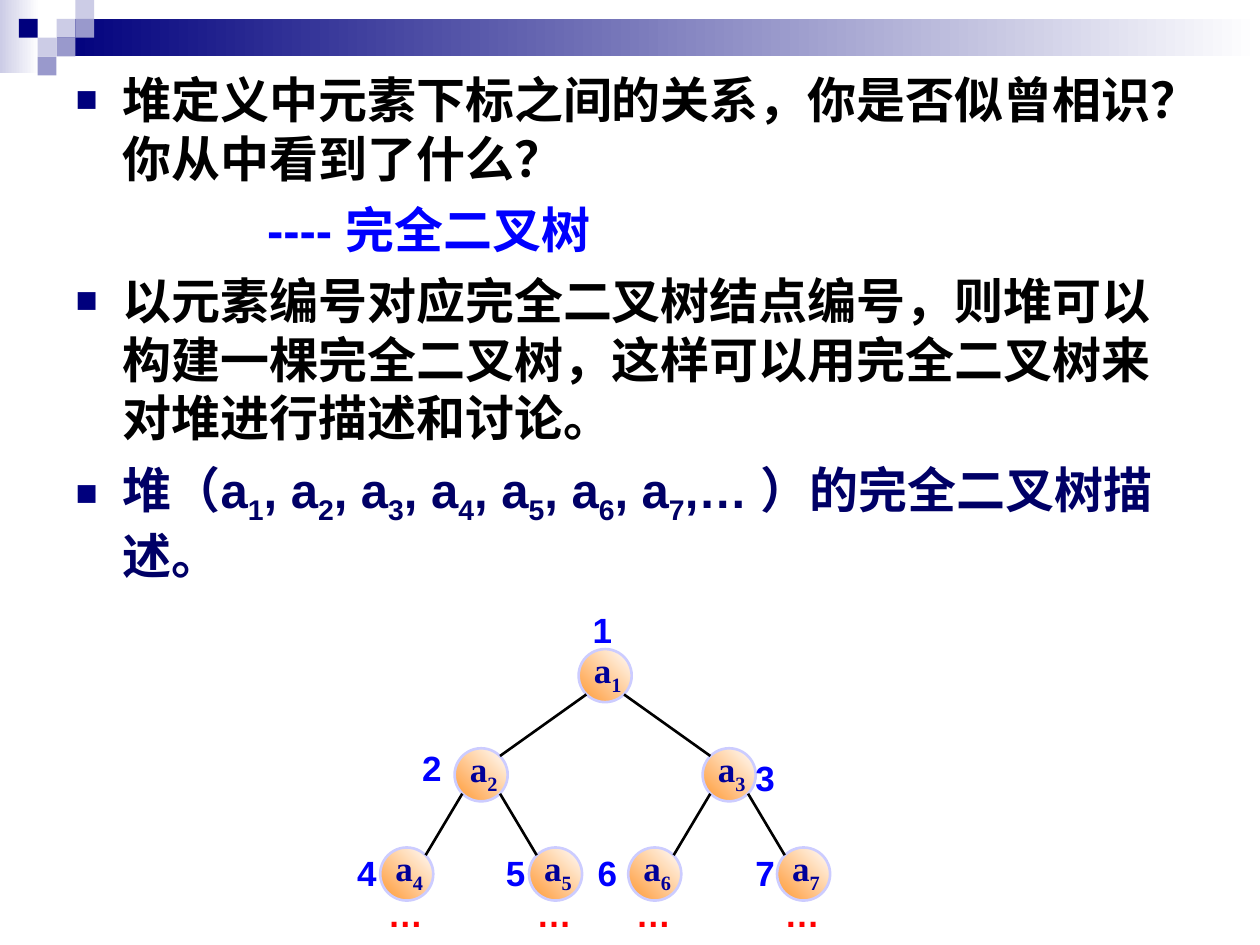
from lxml.etree import SubElement
from pptx import Presentation
from pptx.dml.color import RGBColor
from pptx.enum.shapes import MSO_CONNECTOR, MSO_SHAPE
from pptx.enum.text import MSO_ANCHOR, MSO_AUTO_SIZE, PP_ALIGN
from pptx.oxml.ns import qn
from pptx.util import Cm, Pt

COLORS = {
    "navy": "00007D", "lavender": "CCCCE6", "periwinkle": "9999CC",
    "white": "FFFFFF", "black": "000000", "blue": "0000FF",
    "heap": "000066", "node_text": "000099", "node_fill": "FF9933",
    "node_line": "CCCCFF", "red": "FF0000",
}
SQUARE = 0.38
POINTS = [
    ("堆定义中元素下标之间的关系，你是否似曾相识？你从中看到了什么？", "black", True),
    ("---- 完全二叉树", "blue", False),
    ("以元素编号对应完全二叉树结点编号，则堆可以构建一棵完全二叉树，"
     "这样可以用完全二叉树来对堆进行描述和讨论。", "black", True),
    ("堆（a_1, a_2, a_3, a_4, a_5, a_6, a_7,… ）的完全二叉树描述。", "heap", True),
]
# Offset of each number's box from the centre of its node
NUMBER_OFFSETS = {
    1: (-0.25, -1.35), 2: (-1.19, -0.58), 3: (0.53, -0.37), 4: (-1, -0.46),
    5: (-1, -0.46), 6: (-1.15, -0.46), 7: (-0.97, -0.46),
}


def rgb(name):
    return RGBColor.from_string(COLORS[name])


def write_text(paragraph, text, color, size=20, font="Arial"):
    """Write bold text; the character after each underscore is a subscript."""
    def add_run(piece, subscript=False):
        run = paragraph.add_run()
        run.text = piece
        run.font.size, run.font.name, run.font.bold = Pt(size), font, True
        run.font.color.rgb = rgb(color)
        if subscript:
            run.font._element.set("baseline", "-25000")

    first, *rest = text.split("_")
    add_run(first)
    for part in rest:
        add_run(part[0], subscript=True)
        if part[1:]:
            add_run(part[1:])


def fill_gradient(shape, start, end, angle=0):
    shape.fill.gradient()
    shape.fill.gradient_angle = angle
    for stop, color, position in zip(shape.fill.gradient_stops, (start, end), (0, 1)):
        stop.color.rgb = rgb(color)
        stop.position = position


def add_block(shapes, left, top, width, height, color, fade=False):
    block = shapes.add_shape(MSO_SHAPE.RECTANGLE, Cm(left), Cm(top), Cm(width), Cm(height))
    block.shadow.inherit = False
    block.line.fill.background()
    if fade:
        fill_gradient(block, color, "white")
    else:
        block.fill.solid()
        block.fill.fore_color.rgb = rgb(color)


def add_banner(shapes, left, top, width):
    add_block(shapes, left, top, 0.79, 1.47, "lavender", fade=True)
    bar_left = 3 * SQUARE
    add_block(shapes, left + bar_left, top + SQUARE, width - bar_left, 2 * SQUARE,
              "navy", fade=True)
    squares = [(3, 1, "lavender"), (4, 0, "lavender"), (4, 1, "periwinkle"),
               (2, 2, "lavender"), (1, 1, "navy"), (3, 2, "periwinkle"),
               (2, 3, "periwinkle")]
    for column, row, color in squares:
        add_block(shapes, left + column * SQUARE, top + row * SQUARE, SQUARE, SQUARE, color)


def set_bullet(paragraph, bulleted):
    properties = paragraph._p.get_or_add_pPr()
    margin, indent = (0.95, -0.95) if bulleted else (3.86, 0)
    properties.set("marL", str(Cm(margin)))
    properties.set("indent", str(Cm(indent)))
    if not bulleted:
        SubElement(properties, qn("a:buNone"))
        return
    bullet_color = SubElement(properties, qn("a:buClr"))
    SubElement(bullet_color, qn("a:srgbClr"), val=COLORS["navy"])
    SubElement(properties, qn("a:buSzPct"), val="75000")
    SubElement(properties, qn("a:buFont"), typeface="Arial")
    SubElement(properties, qn("a:buChar"), char="■")


def fill_body(body, left, top, width, height):
    body.left, body.top, body.width, body.height = map(Cm, (left, top, width, height))
    frame = body.text_frame
    frame.auto_size = MSO_AUTO_SIZE.NONE
    for index, (text, color, bulleted) in enumerate(POINTS):
        paragraph = frame.add_paragraph() if index else frame.paragraphs[0]
        set_bullet(paragraph, bulleted)
        paragraph.space_before = Pt(7 if index else 0)
        write_text(paragraph, text, color, size=28)


def add_label(shapes, left, top, width, text, color):
    frame = shapes.add_textbox(Cm(left), Cm(top), Cm(width), Cm(0.84)).text_frame
    frame.margin_left = frame.margin_right = frame.margin_top = frame.margin_bottom = 0
    frame.word_wrap = False
    frame.auto_size = MSO_AUTO_SIZE.SHAPE_TO_FIT_TEXT
    write_text(frame.paragraphs[0], text, color)


def add_node(shapes, x, y, diameter, text):
    node = shapes.add_shape(MSO_SHAPE.OVAL, Cm(x - diameter / 2), Cm(y - diameter / 2),
                            Cm(diameter), Cm(diameter))
    node.shadow.inherit = False
    fill_gradient(node, "node_fill", "white", angle=45)
    node.line.color.rgb = rgb("node_line")
    node.line.width = Pt(1.5)
    frame = node.text_frame
    frame.margin_left, frame.margin_right = Cm(0.15), Cm(0.25)
    frame.margin_top, frame.margin_bottom = 0, Cm(0.13)
    frame.word_wrap = False
    frame.vertical_anchor = MSO_ANCHOR.MIDDLE
    frame.paragraphs[0].alignment = PP_ALIGN.LEFT
    write_text(frame.paragraphs[0], text, "node_text", font="Times New Roman")


def add_edge(shapes, parent, child):
    """Join two nodes, from the lower rim of one to the upper rim of the other."""
    rim = 0.38
    side = rim if child[0] > parent[0] else -rim
    edge = shapes.add_connector(
        MSO_CONNECTOR.STRAIGHT, Cm(parent[0] + side), Cm(parent[1] + rim),
        Cm(child[0] - side), Cm(child[1] - rim))
    edge.line.color.rgb = rgb("black")
    edge.line.width = Pt(1.5)
    SubElement(edge._element.spPr, qn("a:effectLst"))


def add_tree(shapes, root_x, root_y):
    """Draw the heap as a complete binary tree, node k under node k // 2."""
    level_height = 2
    centres = {1: (root_x, root_y)}
    for number in range(2, 8):
        parent_x, parent_y = centres[number // 2]
        spread = 2.5 if number < 4 else 1.5
        side = 1 if number % 2 else -1
        centres[number] = (parent_x + side * spread, parent_y + level_height)

    for number, (x, y) in centres.items():
        add_node(shapes, x, y, 1.07, f"a_{number}")
        dx, dy = NUMBER_OFFSETS[number]
        add_label(shapes, x + dx, y + dy, 0.4, str(number), "blue")
        if number > 1:
            add_edge(shapes, centres[number // 2], (x, y))
        if number > 3:
            add_label(shapes, x - 0.38, y + 0.38, 0.71, "…", "red")


def main():
    presentation = Presentation()
    presentation.slide_width, presentation.slide_height = Cm(25.4), Cm(19.05)
    slide = presentation.slides.add_slide(presentation.slide_layouts[1])
    title, body = slide.placeholders
    title._element.getparent().remove(title._element)

    add_banner(slide.shapes.add_group_shape().shapes, 0, 0, 25.4)
    slide.shapes._spTree.append(body._element)
    fill_body(body, 1.27, 1.27, 22.86, 17.78)
    add_tree(slide.shapes.add_group_shape().shapes, 12.2, 13.62)
    presentation.save("out.pptx")


if __name__ == "__main__":
    main()
